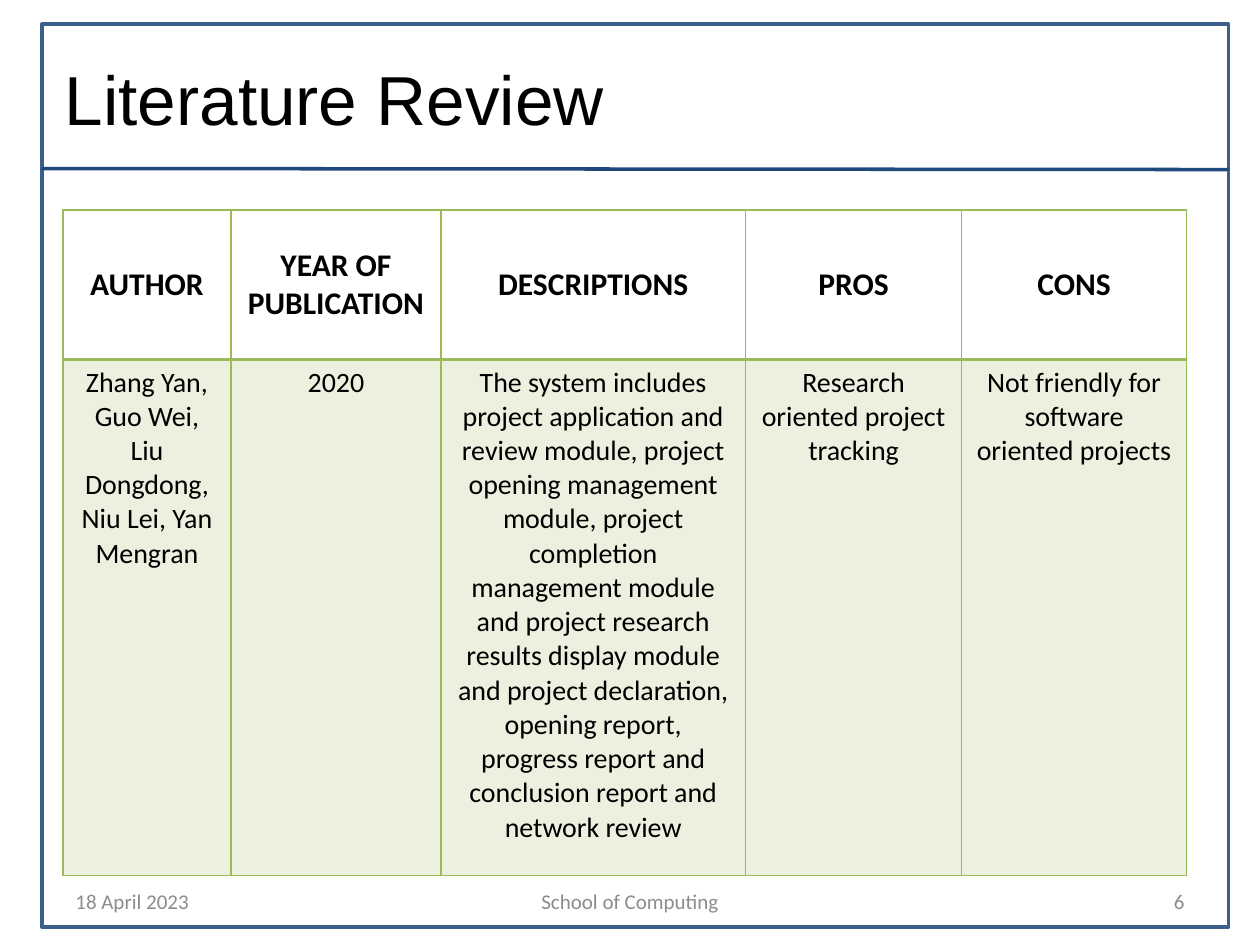
from lxml.etree import SubElement
from pptx import Presentation
from pptx.dml.color import RGBColor
from pptx.enum.shapes import MSO_CONNECTOR, MSO_SHAPE
from pptx.enum.text import MSO_ANCHOR, PP_ALIGN
from pptx.oxml import parse_xml
from pptx.oxml.ns import nsdecls, qn
from pptx.util import Inches, Pt

UNIT = Inches(1) // 12
COLS, ROWS = 120, 90

BLACK = RGBColor(0x00, 0x00, 0x00)
GRAY = RGBColor(0x8C, 0x8C, 0x8C)
FRAME = RGBColor(0x3A, 0x5F, 0x8C)
NAVY = RGBColor(0x1F, 0x49, 0x7D)
GREEN = RGBColor(0x9B, 0xBB, 0x59)
PALE_GREEN = RGBColor(0xEB, 0xF1, 0xDE)
DIVIDER = RGBColor(0xA6, 0xA6, 0xA6)

TITLE = dict(name="Arial", size=Pt(39.6), color=BLACK)
FOOTER = dict(name="Calibri", size=Pt(12), color=GRAY)
HEAD = dict(name="Calibri", size=Pt(18), bold=True, color=BLACK)
BODY = dict(name="Calibri", size=Pt(16), bold=False, color=BLACK)

COL_WIDTHS = [16, 20, 29, 20.6, 21.4]
ROW_HEIGHTS = [14.2, 49.2]
REVIEW = [
    ["AUTHOR", "YEAR OF PUBLICATION", "DESCRIPTIONS", "PROS", "CONS"],
    [
        "Zhang Yan, Guo Wei, Liu Dongdong, Niu Lei, Yan Mengran",
        "2020",
        "The system includes project application and review module, project "
        "opening management module, project completion management module and "
        "project research results display module and project declaration, "
        "opening report, progress report and conclusion report and network review",
        "Research oriented project tracking",
        "Not friendly for software oriented projects",
    ],
]


def grid(*values):
    return [round(v * UNIT) for v in values]


def write(tf, text, style, align):
    tf.word_wrap = True
    p = tf.paragraphs[0]
    p.alignment = align
    r = p.add_run()
    r.text = text
    for key, value in style.items():
        if key == "color":
            r.font.color.rgb = value
        else:
            setattr(r.font, key, value)


def add_text(s, box, text, style, align=PP_ALIGN.LEFT):
    tf = s.shapes.add_textbox(*grid(*box)).text_frame
    write(tf, text, style, align)
    tf.vertical_anchor = MSO_ANCHOR.MIDDLE


def add_frame(s, box):
    left, top, width, height = box
    sp = s.shapes.add_shape(MSO_SHAPE.RECTANGLE, *grid(*box))
    sp.shadow.inherit = False
    sp.fill.background()
    rule_y = top + 13.75
    rule = s.shapes.add_connector(
        MSO_CONNECTOR.STRAIGHT, *grid(left, rule_y, left + width, rule_y + 0.1))
    SubElement(rule._element.spPr, qn("a:effectLst"))
    for shape, color in ((sp, FRAME), (rule, NAVY)):
        shape.line.color.rgb = color
        shape.line.width = Pt(2)


def add_footer(s, box):
    left, top, width, height = box
    side, middle = 28, 38
    parts = [
        (0, side, "18 April 2023", PP_ALIGN.LEFT),
        ((width - middle) / 2, middle, "School of Computing", PP_ALIGN.CENTER),
        (width - side, side, "6", PP_ALIGN.RIGHT),
    ]
    for x, w, text, align in parts:
        add_text(s, (left + x, top, w, height), text, FOOTER, align)


def set_borders(cell, borders):
    tc_pr = cell._tc.get_or_add_tcPr()
    for i, (side, (color, width)) in enumerate(borders.items()):
        tc_pr.insert(i, parse_xml(
            f'<a:ln{side} {nsdecls("a")} w="{Pt(width)}"><a:solidFill>'
            f'<a:srgbClr val="{color}"/></a:solidFill></a:ln{side}>'))


def add_review(s, box):
    table = s.shapes.add_table(len(REVIEW), len(COL_WIDTHS), *grid(*box)).table
    table.first_row = table.horz_banding = False
    for column, width in zip(table.columns, grid(*COL_WIDTHS)):
        column.width = width
    for row, height in zip(table.rows, grid(*ROW_HEIGHTS)):
        row.height = height
    edges = [(GREEN, 1)] * 3 + [(DIVIDER, 0.5)] * 2 + [(GREEN, 1)]
    levels = [(GREEN, 1), (GREEN, 2), (GREEN, 1)]
    for i, row in enumerate(REVIEW):
        for j, text in enumerate(row):
            cell = table.cell(i, j)
            write(cell.text_frame, text, BODY if i else HEAD, PP_ALIGN.CENTER)
            if i:
                cell.fill.solid()
                cell.fill.fore_color.rgb = PALE_GREEN
            else:
                cell.fill.background()
                cell.vertical_anchor = MSO_ANCHOR.MIDDLE
            set_borders(cell, dict(L=edges[j], R=edges[j + 1],
                                   T=levels[i], B=levels[i + 1]))


def main():
    prs = Presentation()
    prs.slide_width, prs.slide_height = grid(COLS, ROWS)
    s = prs.slides.add_slide(prs.slide_layouts[6])
    add_frame(s, (4, 2.3, 113, 86))
    add_text(s, (5, 5, 108, 8.7), "Literature Review", TITLE)
    add_footer(s, (6, 83.4, 108, 4.8))
    add_review(s, (6, 20, sum(COL_WIDTHS), sum(ROW_HEIGHTS)))
    prs.save("out.pptx")


if __name__ == "__main__":
    main()
